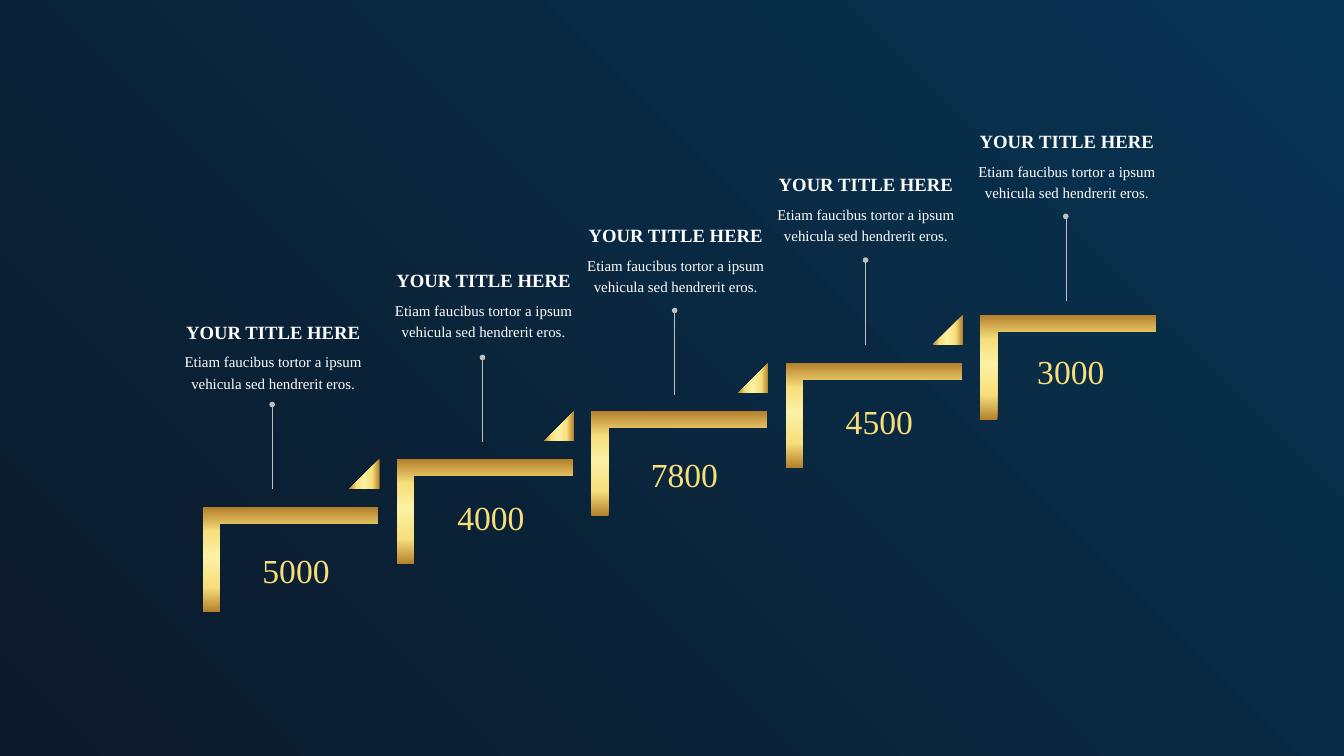
import pptx
import pptx.util
import pptx.dml.color
import pptx.enum.shapes
import pptx.enum.text
import pptx.oxml
import pptx.oxml.ns
import lxml.etree

Inches = pptx.util.Inches
Pt = pptx.util.Pt
qn = pptx.oxml.ns.qn
SHAPES = pptx.enum.shapes.MSO_SHAPE
FONT = "Times New Roman"
COLORS = {
    "sky": "073453",
    "night": "0C192A",
    "bronze": "B37E2A",
    "gold": "F7DE7A",
    "shine": "FCF2A5",
    "white": "FFFFFF",
    "pointer": "BFBFBF",
}
GOLD_STOPS = [(0, "bronze"), (24, "gold"), (53, "shine"), (77, "gold"), (100, "bronze")]


def set_gradient(fill, owner, stops, radial=False):
    fill.gradient()
    gradient = owner.find(".//" + qn("a:gradFill"))
    for child in list(gradient):
        gradient.remove(child)
    stop_list = lxml.etree.SubElement(gradient, qn("a:gsLst"))
    for position, name in stops:
        stop = lxml.etree.SubElement(stop_list, qn("a:gs"), pos=str(position * 1000))
        lxml.etree.SubElement(stop, qn("a:srgbClr"), val=COLORS[name])
    if radial:
        center = lxml.etree.SubElement(gradient, qn("a:path"), path="circle")
        lxml.etree.SubElement(center, qn("a:fillToRect"), l="100000", b="100000")
    else:
        lxml.etree.SubElement(gradient, qn("a:lin"), ang="10800000", scaled="0")


def add_text(left, top, width, height, text, size, wrap=True, spacing=None):
    box = slide.shapes.add_textbox(Inches(left), Inches(top), Inches(width), Inches(height))
    frame = box.text_frame
    frame.word_wrap = wrap
    frame.auto_size = pptx.enum.text.MSO_AUTO_SIZE.SHAPE_TO_FIT_TEXT
    para = frame.paragraphs[0]
    para.alignment = pptx.enum.text.PP_ALIGN.CENTER
    if spacing:
        para.line_spacing = spacing
    run = para.add_run()
    run.text = text
    run.font.name = FONT
    run.font.size = Pt(size)
    run.font.color.rgb = pptx.dml.color.RGBColor.from_string(COLORS["white"])
    return run


deck = pptx.Presentation()
deck.slide_width = Inches(20)
deck.slide_height = Inches(11.25)
slide = deck.slides.add_slide(deck.slide_layouts[6])
set_gradient(slide.background.fill, slide._element, [(0, "sky"), (100, "night")], radial=True)

steps = [
    {"value": "5000", "title": (2.31, 4.66), "pointer": (4.05, 6.02), "number": (3.80, 8.13)},
    {"value": "4000", "title": (5.44, 3.89), "pointer": (7.18, 5.32), "number": (6.70, 7.35)},
    {"value": "7800", "title": (8.30, 3.22), "pointer": (10.04, 4.62), "number": (9.58, 6.70)},
    {"value": "4500", "title": (11.13, 2.46), "pointer": (12.88, 3.87), "number": (12.48, 5.91)},
    {"value": "3000", "title": (14.12, 1.82), "pointer": (15.86, 3.22), "number": (15.33, 5.17)},
]
STEP_RUN, STEP_RISE = 2.893, 0.715

for index, step in enumerate(steps):
    across, up = index * STEP_RUN, index * STEP_RISE

    left, top = step["title"]
    title = add_text(left, top, 3.51, 0.47, "YOUR TITLE HERE", 20, spacing=1.2)
    title.font.bold = True
    add_text(left + 0.15, top + 0.49, 3.21, 0.72,
             "Etiam faucibus tortor a ipsum vehicula sed hendrerit eros.", 16, spacing=1.2)

    corner = slide.shapes.add_shape(SHAPES.CORNER, Inches(3.54 + across), Inches(7.02 - up),
                                    Inches(1.57), Inches(2.62))
    corner.rotation = 90
    corner.adjustments[0] = 0.16
    corner.adjustments[1] = 0.16
    pieces = [corner]
    if index < len(steps) - 1:
        triangle = slide.shapes.add_shape(SHAPES.ISOSCELES_TRIANGLE, Inches(5.2 + across),
                                          Inches(6.83 - up), Inches(0.45), Inches(0.45))
        triangle.adjustments[0] = 1
        pieces.append(triangle)
    for piece in pieces:
        piece.shadow.inherit = False
        piece.line.fill.background()
        set_gradient(piece.fill, piece._element, GOLD_STOPS)

    x, y = step["pointer"]
    pointer = slide.shapes.add_connector(pptx.enum.shapes.MSO_CONNECTOR.STRAIGHT,
                                         Inches(x), Inches(y + 1.26), Inches(x), Inches(y))
    pointer.line.color.rgb = pptx.dml.color.RGBColor.from_string(COLORS["pointer"])
    pointer.line.width = Pt(0.5)
    lxml.etree.SubElement(pointer.line._get_or_add_ln(), qn("a:tailEnd"), type="oval")
    lxml.etree.SubElement(pointer._element.spPr, qn("a:effectLst"))

    left, top = step["number"]
    number = add_text(left, top, 1.21, 0.71, step["value"], 36, wrap=False)
    set_gradient(number.font.fill, number._r, GOLD_STOPS)

deck.save("out.pptx")
